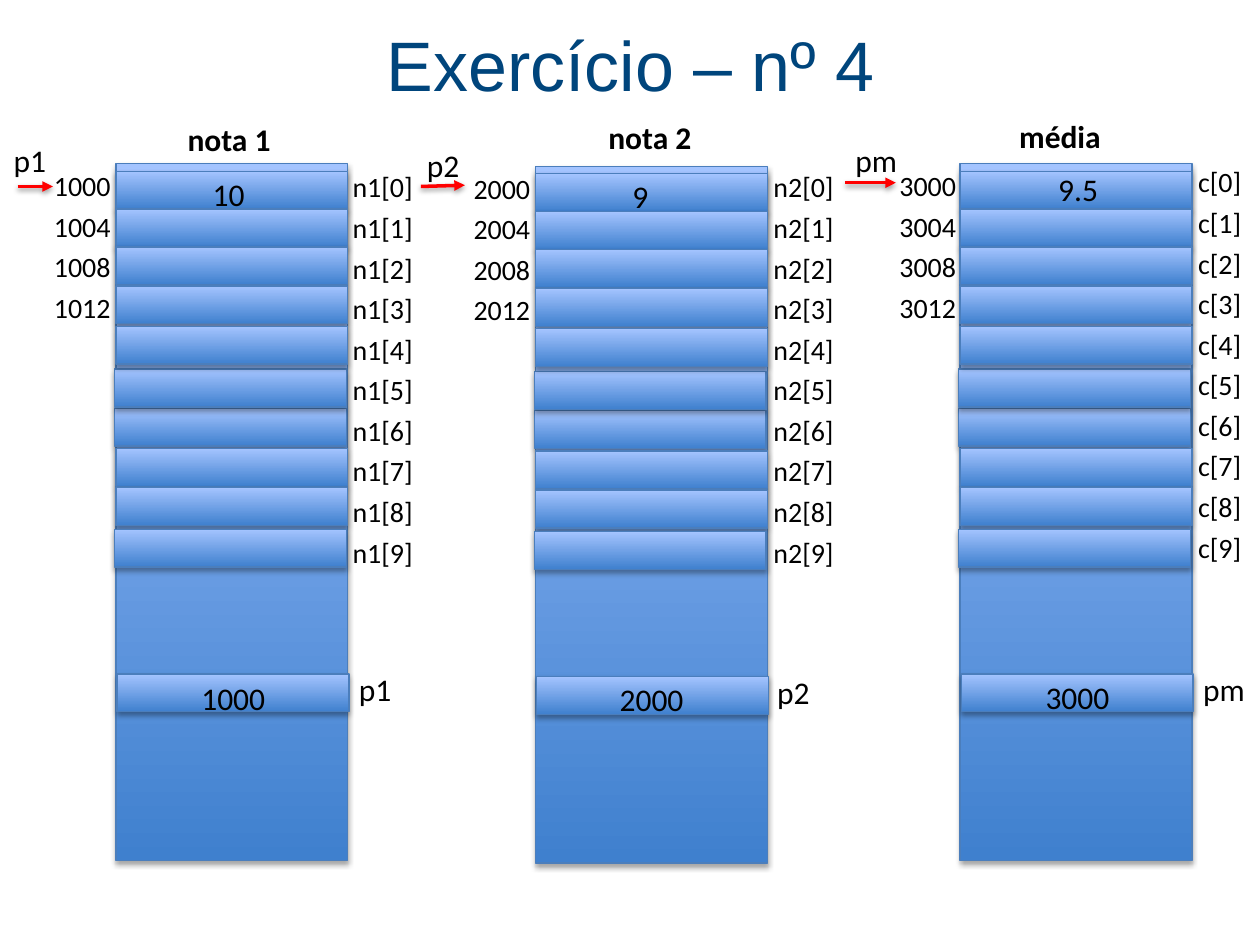
from dataclasses import dataclass

import lxml.etree
import pptx
import pptx.dml.color
import pptx.enum.dml
import pptx.enum.shapes
import pptx.enum.text
import pptx.oxml
import pptx.oxml.ns
import pptx.util

Inches = pptx.util.Inches
Pt = pptx.util.Pt
RGBColor = pptx.dml.color.RGBColor
qn = pptx.oxml.ns.qn

TITLE_BLUE = RGBColor(0x00, 0x45, 0x7C)
CELL_DARK = RGBColor(0x3F, 0x80, 0xCE)
CELL_LIGHT = RGBColor(0xA4, 0xC4, 0xFF)
CELL_EDGE = RGBColor(0x4B, 0x7E, 0xBC)
ARROW_RED = RGBColor(0xFF, 0x00, 0x00)
BLACK = RGBColor(0x00, 0x00, 0x00)

COLUMN_WIDTH, COLUMN_HEIGHT, CELL_HEIGHT = 1.84, 5.53, 0.3

# Offsets (across, down) from the column corner, in stacking order
CELL_OFFSETS = [
    (0, 0.06), (0, 0.36), (0, 0.66), (0, 0.97), (-0.01, 1.94),
    (-0.01, 1.63), (0, 1.29), (0, 2.26), (0, 2.57), (-0.01, 2.9),
]
POINTER_OFFSET = (0.01, 4.05)


@dataclass
class Label:
    text: str
    left: float
    top: float
    width: float = 0.8


@dataclass
class Memory:
    """One vector in memory together with its pointer."""
    left: float
    top: float
    heading: Label
    array: str
    index_left: float
    index_top: float
    first_address: int
    address_left: float
    address_top: float
    arrow: tuple[float, float, float, float]
    labels: list[Label]


MEMORIES = [
    Memory(4.25, 1.32, Label("nota 2", 4.73, 0.89, 1.68), "n2", 6.04, 1.3,
           2000, 3.66, 1.31, (3.34, 1.48, 3.69, 1.47),
           [Label("p2", 3.29, 1.11, 0.6), Label("9", 4.92, 1.36),
            Label("2000", 4.82, 5.35), Label("p2", 6.07, 5.29, 0.6)]),
    Memory(0.92, 1.3, Label("nota 1", 1.39, 0.9, 1.68), "n1", 2.7, 1.3,
           1000, 0.33, 1.29, (0.14, 1.48, 0.42, 1.48),
           [Label("p1", 0.01, 1.07, 0.65), Label("10", 1.59, 1.34),
            Label("1000", 1.5, 5.34), Label("p1", 2.75, 5.27, 0.6)]),
    Memory(7.62, 1.3, Label("média", 7.99, 0.88, 1.68), "c", 9.41, 1.26,
           3000, 7.04, 1.29, (6.71, 1.45, 7.11, 1.45),
           [Label("pm", 6.69, 1.07, 0.6), Label("9.5", 8.3, 1.3),
            Label("3000", 8.2, 5.33), Label("pm", 9.45, 5.27, 0.55)]),
]


def add_shadow(shape, distance: float, opacity: int) -> None:
    effects = lxml.etree.SubElement(shape._element.spPr, qn("a:effectLst"))
    shadow = lxml.etree.SubElement(
        effects, qn("a:outerShdw"), blurRad=str(Pt(3.1)),
        dist=str(Pt(distance)), dir="5400000", rotWithShape="0")
    color = lxml.etree.SubElement(shadow, qn("a:srgbClr"), val="000000")
    lxml.etree.SubElement(color, qn("a:alpha"), val=str(opacity * 1000))


def add_block(slide, left: float, top: float, height: float) -> None:
    block = slide.shapes.add_shape(
        pptx.enum.shapes.MSO_SHAPE.RECTANGLE, Inches(left), Inches(top),
        Inches(COLUMN_WIDTH), Inches(height))
    block.fill.gradient()
    block.fill.gradient_angle = 90
    for stop, color, position in zip(
            block.fill.gradient_stops, (CELL_DARK, CELL_LIGHT), (0, 1)):
        stop.color.rgb = color
        stop.position = position
    block.line.color.rgb = CELL_EDGE
    block.line.width = Pt(0.75)
    add_shadow(block, 1.8, 35)


def add_text(slide, lines: list[str], left: float, top: float, width: float,
             height: float = 0.4, size: int = 18, bold: bool = False,
             space_after: int = 0) -> None:
    box = slide.shapes.add_textbox(
        Inches(left), Inches(top), Inches(width), Inches(height))
    frame = box.text_frame
    frame.word_wrap = True
    frame.auto_size = pptx.enum.text.MSO_AUTO_SIZE.SHAPE_TO_FIT_TEXT
    for number, line in enumerate(lines):
        paragraph = frame.add_paragraph() if number else frame.paragraphs[0]
        paragraph.space_after = Pt(space_after)
        run = paragraph.add_run()
        run.text = line
        run.font.name = "Calibri"
        run.font.size = Pt(size)
        run.font.bold = bold
        run.font.color.rgb = BLACK


def add_label(slide, label: Label, bold: bool = False) -> None:
    add_text(slide, [label.text], label.left, label.top, label.width, bold=bold)


def add_arrow(slide, ends: tuple[float, float, float, float]) -> None:
    arrow = slide.shapes.add_connector(
        pptx.enum.shapes.MSO_CONNECTOR.STRAIGHT, *map(Inches, ends))
    arrow.line.color.rgb = ARROW_RED
    arrow.line.width = Pt(2)
    lxml.etree.SubElement(
        arrow.line._get_or_add_ln(), qn("a:tailEnd"), type="triangle")
    add_shadow(arrow, 1.6, 38)


def add_memory(slide, memory: Memory) -> None:
    # Column, vector cells and pointer cell
    add_block(slide, memory.left, memory.top, COLUMN_HEIGHT)
    for across, down in CELL_OFFSETS + [POINTER_OFFSET]:
        add_block(slide, memory.left + across, memory.top + down, CELL_HEIGHT)

    # Element names and addresses
    elements = [f"{memory.array}[{index}]" for index in range(10)]
    addresses = [str(memory.first_address + 4 * index) for index in range(4)]
    add_text(slide, elements, memory.index_left, memory.index_top,
             0.85, 3.3, size=16, space_after=4)
    add_text(slide, addresses, memory.address_left, memory.address_top,
             0.85, 1.74, size=16, space_after=4)

    # Pointer arrow, values and heading
    add_arrow(slide, memory.arrow)
    for label in memory.labels:
        add_label(slide, label)
    add_label(slide, memory.heading, bold=True)


def add_title(slide, text: str) -> None:
    title = slide.shapes.title
    title.left, title.top = Inches(0.35), Inches(0.03)
    title.width, title.height = Inches(9.31), Inches(0.95)
    title.text_frame.vertical_anchor = pptx.enum.text.MSO_ANCHOR.MIDDLE
    paragraph = title.text_frame.paragraphs[0]
    paragraph.alignment = pptx.enum.text.PP_ALIGN.CENTER
    run = paragraph.add_run()
    run.text = text
    run.font.name = "Arial"
    run.font.size = Pt(40)
    run.font.color.rgb = TITLE_BLUE


def main() -> None:
    presentation = pptx.Presentation()
    presentation.slide_width = Inches(10)
    presentation.slide_height = Inches(7.5)
    slide = presentation.slides.add_slide(presentation.slide_layouts[5])
    add_title(slide, "Exercício – nº 4")
    for memory in MEMORIES:
        add_memory(slide, memory)
    presentation.save("out.pptx")


if __name__ == "__main__":
    main()
